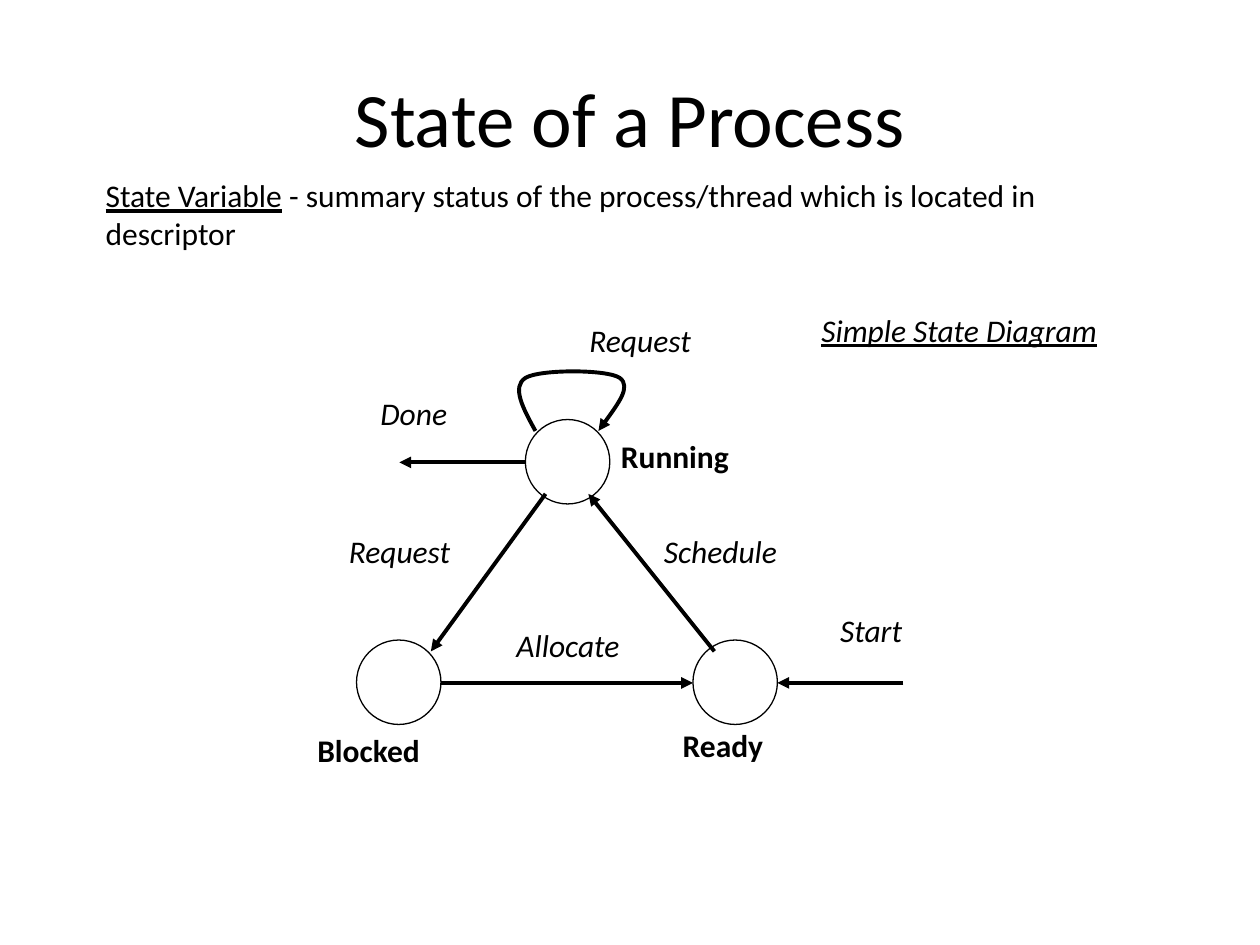
from lxml import etree
from pptx import Presentation
from pptx.dml.color import RGBColor
from pptx.enum import shapes, text
from pptx.oxml.ns import qn
from pptx.util import Inches, Pt

BLACK = RGBColor(0, 0, 0)
WHITE = RGBColor(255, 255, 255)

prs = Presentation()
prs.slide_width, prs.slide_height = Inches(10), Inches(7.5)
slide = prs.slides.add_slide(prs.slide_layouts[5])


def write(paragraph, words, size=18, **styles):
    run = paragraph.add_run()
    run.text = words
    run.font.color.rgb = BLACK
    formats = {"name": "Calibri", "size": Pt(size), **styles}
    for key, value in formats.items():
        setattr(run.font, key, value)


def draw_arrow(shape):
    shape.line.color.rgb = BLACK
    shape.line.width = Pt(2.25)
    etree.SubElement(shape.line._get_or_add_ln(), qn("a:tailEnd"), type="triangle")
    etree.SubElement(shape._element.spPr, qn("a:effectLst"))


# Title
title = slide.shapes.title
title.left, title.top = Inches(0.5), Inches(0.3)
title.width, title.height = Inches(9), Inches(1.25)
title.text_frame.vertical_anchor = text.MSO_ANCHOR.MIDDLE
heading = title.text_frame.paragraphs[0]
heading.alignment = text.PP_ALIGN.CENTER
write(heading, "State of a Process", 44)

# Definition
definition = slide.shapes.add_textbox(Inches(0.74), Inches(1.35), Inches(8.34), Inches(1.3))
definition.text_frame.word_wrap = True
sentence = definition.text_frame.paragraphs[0]
write(sentence, "State Variable", underline=True)
write(sentence, " - summary status of the process/thread which is located in descriptor")

# States: running, ready, blocked
for left, top in [(4.17, 3.33), (5.5, 5.08), (2.83, 5.08)]:
    state = slide.shapes.add_shape(shapes.MSO_SHAPE.OVAL, Inches(left), Inches(top),
                                   Inches(0.67), Inches(0.67))
    state.shadow.inherit = False
    state.fill.solid()
    state.fill.fore_color.rgb = WHITE
    state.line.color.rgb = BLACK
    state.line.width = Pt(0.75)

# Transitions
transitions = [
    (5.67, 5.17, 4.67, 3.92),  # schedule
    (4.33, 3.92, 3.42, 5.17),  # request
    (3.5, 5.42, 5.5, 5.42),    # allocate
    (4.17, 3.67, 3.17, 3.67),  # done
    (7.17, 5.42, 6.17, 5.42),  # start
]
for ends in transitions:
    draw_arrow(slide.shapes.add_connector(shapes.MSO_CONNECTOR.STRAIGHT, *map(Inches, ends)))

# Request loop: a start point, then three Bezier points per curve
loop_points = [(4.25, 3.42),
               (4.15, 3.24), (4.06, 3.07), (4.17, 3),
               (4.28, 2.93), (4.82, 2.93), (4.92, 3),
               (5.01, 3.07), (4.88, 3.24), (4.75, 3.42)]
corners = [(Inches(x), Inches(y)) for x, y in loop_points]
builder = slide.shapes.build_freeform(*corners[0])
builder.add_line_segments(corners[1:], close=False)
loop = builder.convert_to_shape()
loop.fill.background()
outline = loop._element.find(".//" + qn("a:path"))
segments = outline.findall(qn("a:lnTo"))
for first in range(0, len(segments), 3):
    curve = etree.SubElement(outline, qn("a:cubicBezTo"))
    for segment in segments[first:first + 3]:
        curve.append(segment[0])
        outline.remove(segment)
draw_arrow(loop)

# Labels
STATE = {"bold": True}
ACTION = {"italic": True}
CAPTION = {"italic": True, "underline": True}
labels = [
    ("Ready", 5.32, 5.71, 1.11, STATE),
    ("Blocked", 2.42, 5.75, 1.35, STATE),
    ("Running", 4.83, 3.42, 1.44, STATE),
    ("Start", 6.57, 4.8, 0.85, ACTION),
    ("Schedule", 5.17, 4.17, 1.4, ACTION),
    ("Request", 4.58, 2.5, 1.26, ACTION),
    ("Done", 2.92, 3.08, 0.92, ACTION),
    ("Request", 2.67, 4.17, 1.26, ACTION),
    ("Allocate", 4, 4.92, 1.31, ACTION),
    ("Simple State Diagram", 6.42, 2.42, 3.15, CAPTION),
]
for words, left, top, width, styles in labels:
    label = slide.shapes.add_textbox(Inches(left), Inches(top), Inches(width), Inches(0.5))
    label.text_frame.word_wrap = False
    label.text_frame.auto_size = text.MSO_AUTO_SIZE.SHAPE_TO_FIT_TEXT
    write(label.text_frame.paragraphs[0], words, **styles)

prs.save("out.pptx")
